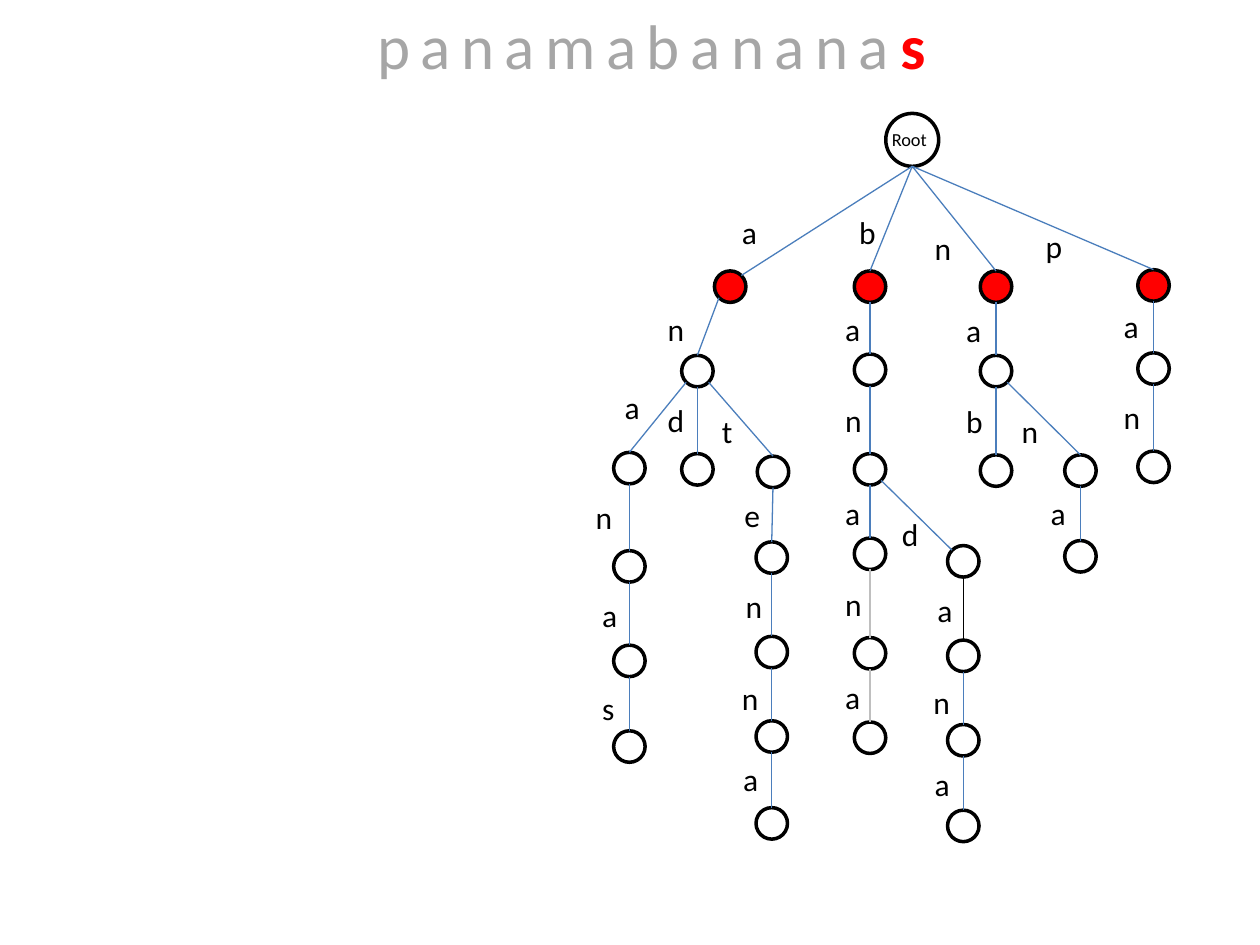
from dataclasses import dataclass

from lxml.etree import SubElement
from pptx import Presentation
from pptx.dml.color import RGBColor
from pptx.enum.shapes import MSO_CONNECTOR, MSO_SHAPE
from pptx.enum.text import MSO_AUTO_SIZE, PP_ALIGN
from pptx.oxml.ns import qn
from pptx.util import Inches, Pt

BLACK, WHITE, RED = "000000", "FFFFFF", "FF0000"
BLUE, GREY, LIGHT_GREY = "4B7EBC", "A6A6A6", "BFBFBF"
ROOT_SIZE, NODE_SIZE = 0.42, 0.25
LABEL_WIDTHS = {"a": 0.32, "e": 0.33, "s": 0.3, "t": 0.29}
DIAGONAL = 0.71

# Points on a circle, as multiples of its radius
TOP, BOTTOM = (0, -1), (0, 1)
TOP_LEFT, TOP_RIGHT = (-DIAGONAL, -DIAGONAL), (DIAGONAL, -DIAGONAL)
BOTTOM_LEFT, BOTTOM_RIGHT = (-DIAGONAL, DIAGONAL), (DIAGONAL, DIAGONAL)


@dataclass
class Node:
    """A trie node; its prefix names its parent and the letter on its edge."""
    prefix: str
    left: float
    top: float
    label_left: float = 0
    label_top: float = 0
    leave: tuple = BOTTOM
    arrive: tuple = TOP
    edge_color: str = BLUE

    @property
    def size(self) -> float:
        return NODE_SIZE if self.prefix else ROOT_SIZE

    def port(self, direction: tuple) -> tuple:
        radius = self.size / 2
        return (Inches(self.left + radius * (1 + direction[0])),
                Inches(self.top + radius * (1 + direction[1])))


ROOT = Node("", 7.03, 0.9)
NODES = [
    Node("a", 5.67, 2.15, 5.79, 1.64, arrive=TOP_RIGHT),
    Node("an", 5.41, 2.82, 5.2, 2.41, leave=BOTTOM_LEFT),
    Node("and", 5.41, 3.6, 5.2, 3.13),
    Node("ana", 4.87, 3.59, 4.86, 3.03, leave=BOTTOM_LEFT),
    Node("anan", 4.87, 4.37, 4.63, 3.9),
    Node("anana", 4.87, 5.12, 4.68, 4.68),
    Node("ananas", 4.87, 5.8, 4.68, 5.42),
    Node("ant", 6.01, 3.62, 5.63, 3.22, leave=BOTTOM_RIGHT),
    Node("ante", 6, 4.3, 5.81, 3.89),
    Node("anten", 6, 5.05, 5.82, 4.61),
    Node("antenn", 6, 5.72, 5.79, 5.34),
    Node("antenna", 6, 6.41, 5.8, 5.98),
    Node("b", 6.78, 2.15, 6.72, 1.64),
    Node("ba", 6.78, 2.81, 6.61, 2.41),
    Node("ban", 6.78, 3.6, 6.61, 3.13),
    Node("bana", 6.78, 4.27, 6.61, 3.87),
    Node("banan", 6.78, 5.06, 6.61, 4.59, edge_color=LIGHT_GREY),
    Node("banana", 6.78, 5.73, 6.61, 5.33, edge_color=LIGHT_GREY),
    Node("band", 7.52, 4.33, 7.06, 4.04, leave=BOTTOM_RIGHT, arrive=TOP_LEFT),
    Node("banda", 7.52, 5.08, 7.34, 4.64, edge_color=BLACK),
    Node("bandan", 7.52, 5.75, 7.31, 5.37),
    Node("bandana", 7.52, 6.43, 7.32, 6.02),
    Node("n", 7.78, 2.15, 7.32, 1.77),
    Node("na", 7.78, 2.82, 7.57, 2.42),
    Node("nab", 7.78, 3.61, 7.57, 3.14),
    Node("nan", 8.45, 3.61, 8.01, 3.22, leave=BOTTOM_RIGHT),
    Node("nana", 8.45, 4.29, 8.24, 3.87),
    Node("p", 9.03, 2.14, 8.2, 1.75),
    Node("pa", 9.03, 2.8, 8.82, 2.39),
    Node("pan", 9.03, 3.58, 8.82, 3.11),
]


def color(value: str) -> RGBColor:
    return RGBColor.from_string(value)


def add_text(slide, box: tuple, wrap: bool = True):
    """Add an empty text box and return its first paragraph."""
    frame = slide.shapes.add_textbox(*map(Inches, box)).text_frame
    for name, value in {"word_wrap": wrap,
                        "auto_size": MSO_AUTO_SIZE.SHAPE_TO_FIT_TEXT}.items():
        setattr(frame, name, value)
    return frame.paragraphs[0]


def add_run(paragraph, text: str, size: float, hex_color: str = BLACK,
            bold: bool = False):
    run = paragraph.add_run()
    run.text = text
    for name, value in {"name": "Calibri", "size": Pt(size), "bold": bold}.items():
        setattr(run.font, name, value)
    run.font.color.rgb = color(hex_color)
    return run


def add_title(slide) -> None:
    paragraph = add_text(slide, (2.67, 0, 5, 0.71))
    paragraph.alignment = PP_ALIGN.CENTER
    for run in (add_run(paragraph, "panamabanana", 36, GREY),
                add_run(paragraph, "s", 36, RED, bold=True)):
        run.font._element.set("spc", "600")


def add_circle(slide, node: Node) -> None:
    box = map(Inches, (node.left, node.top, node.size, node.size))
    circle = slide.shapes.add_shape(MSO_SHAPE.OVAL, *box)
    circle.shadow.inherit = False
    circle.fill.solid()
    circle.fill.fore_color.rgb = color(RED if len(node.prefix) == 1 else WHITE)
    circle.line.color.rgb = color(BLACK)
    circle.line.width = Pt(2)


def add_edge(slide, parent: Node, child: Node) -> None:
    edge = slide.shapes.add_connector(
        MSO_CONNECTOR.STRAIGHT, *parent.port(child.leave), *child.port(child.arrive))
    edge.line.color.rgb = color(child.edge_color)
    edge.line.width = Pt(0.75)
    SubElement(edge._element.spPr, qn("a:effectLst"))


def add_label(slide, node: Node) -> None:
    letter = node.prefix[-1]
    box = (node.label_left, node.label_top, LABEL_WIDTHS.get(letter, 0.34), 0.4)
    add_run(add_text(slide, box, wrap=False), letter, 18)


def main() -> None:
    presentation = Presentation()
    presentation.slide_width, presentation.slide_height = Inches(10), Inches(7.5)
    slide = presentation.slides.add_slide(presentation.slide_layouts[6])

    add_title(slide)
    add_circle(slide, ROOT)
    add_run(add_text(slide, (6.98, 0.97, 0.55, 0.28)), "Root", 10.5)

    trie = {node.prefix: node for node in [ROOT, *NODES]}
    for node in NODES:
        add_circle(slide, node)
        add_edge(slide, trie[node.prefix[:-1]], node)
        add_label(slide, node)
    presentation.save("out.pptx")


if __name__ == "__main__":
    main()
